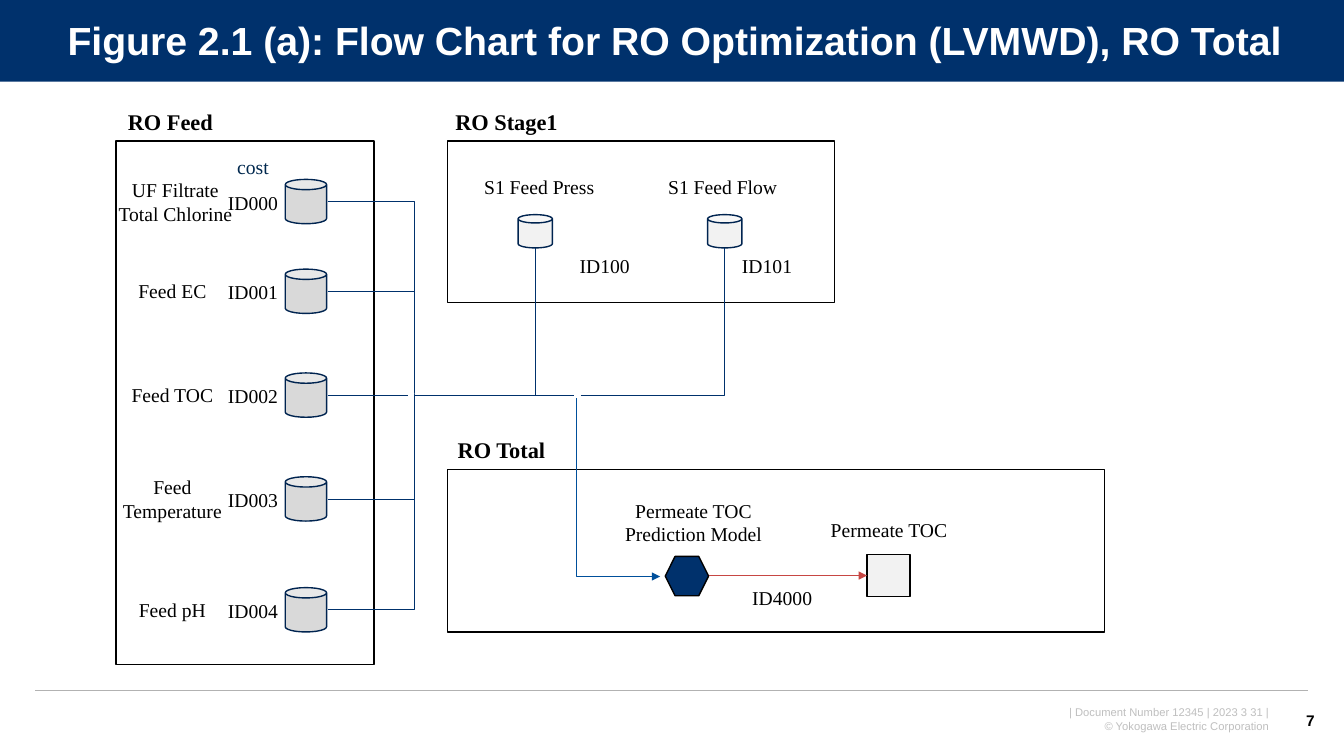
from dataclasses import dataclass
from typing import NamedTuple

import pptx
import pptx.dml.color
import pptx.enum.shapes
import pptx.enum.text
import pptx.oxml
import pptx.oxml.ns
import pptx.util

Kind = pptx.enum.shapes.MSO_SHAPE
Link = pptx.enum.shapes.MSO_CONNECTOR
Align = pptx.enum.text.PP_ALIGN
Anchor = pptx.enum.text.MSO_ANCHOR

# Grid: ten columns and ten rows to the inch
COLUMNS, ROWS = 133.33, 75
CELL = pptx.util.Inches(0.1)


@dataclass(frozen=True)
class Theme:
    sans: str = "Arial"
    serif: str = "Times New Roman"
    black: str = "000000"
    white: str = "FFFFFF"
    navy: str = "00316C"
    outline: str = "002450"
    cost: str = "00284E"
    blue: str = "004F9B"
    red: str = "C74643"
    tank: str = "D9D9D9"
    pale: str = "F2F2F2"
    rule: str = "B2B2B2"
    footer: str = "BFBFBF"
    title_size: float = 28
    heading_size: float = 16
    label_size: float = 14
    number_size: float = 11
    footer_size: float = 8
    thin: float = 0.5
    edge: float = 1


THEME = Theme()


class Box(NamedTuple):
    left: float
    top: float
    width: float
    height: float


class Point(NamedTuple):
    column: float
    row: float


class Style(NamedTuple):
    size: float = THEME.label_size
    color: str = THEME.black
    bold: bool = False
    font: str = THEME.serif
    align: Align = Align.CENTER


class Feed(NamedTuple):
    name: str
    tag: str
    row: float
    lines: int = 1
    name_column: float = 17.1


class Sensor(NamedTuple):
    name: str
    tag: str
    column: float
    name_column: float
    tag_column: float
    junction_column: float


class Group(NamedTuple):
    name: str
    frame: Box
    heading_column: float


HEADING = Style(THEME.heading_size, bold=True)
FOOTER = Style(THEME.footer_size, THEME.footer, font=THEME.sans, align=Align.RIGHT)
NUMBER = Style(THEME.number_size, bold=True, font=THEME.sans, align=Align.RIGHT)
TITLE = Style(THEME.title_size, THEME.white, True, THEME.sans, Align.LEFT)

MAIN_ROW = 39.2
TRUNK_COLUMN = 41.1
OUTLET_COLUMN = 57.2
TAG_WIDTH = 9

GROUPS = [
    Group("RO Feed", Box(11.5, 14, 25.6, 51.9), 16.9),
    Group("RO Stage1", Box(44.4, 14, 38.4, 16), 50.25),
    Group("RO Total", Box(44.4, 46.6, 65.2, 16.1), 49.75),
]
FEEDS = [
    Feed("UF Filtrate Total Chlorine", "ID000", 20, 2, 17.4),
    Feed("Feed EC", "ID001", 28.9),
    Feed("Feed TOC", "ID002", MAIN_ROW),
    Feed("Feed Temperature", "ID003", 49.5, 2),
    Feed("Feed pH", "ID004", 60.5),
]
SENSORS = [
    Sensor("S1 Feed Press", "ID100", 53.1, 53.5, 60, 56.9),
    Sensor("S1 Feed Flow", "ID101", 71.9, 71.7, 76.1, 57.6),
]


def place(shape, box: Box) -> None:
    shape.left, shape.top, shape.width, shape.height = (int(n * CELL) for n in box)


def rgb(color: str) -> pptx.dml.color.RGBColor:
    return pptx.dml.color.RGBColor.from_string(color)


def write(frame, lines: list[str], style: Style) -> None:
    frame.word_wrap = True
    for index, text in enumerate(lines):
        paragraph = frame.add_paragraph() if index else frame.paragraphs[0]
        paragraph.alignment = style.align
        run = paragraph.add_run()
        run.text = text
        run.font.name, run.font.size = style.font, pptx.util.Pt(style.size)
        run.font.bold, run.font.color.rgb = style.bold, rgb(style.color)


def add_text(slide, box: Box, lines: list[str], style: Style):
    shape = slide.shapes.add_textbox(0, 0, 0, 0)
    place(shape, box)
    write(shape.text_frame, lines, style)
    return shape


def add_label(slide, text: str, center: Point, width: float,
              style: Style = Style(), lines: int = 1) -> None:
    height = 1.1 + lines * style.size / 6.1
    box = Box(center.column - width / 2, center.row - height / 2, width, height)
    add_text(slide, box, [text], style)


def add_figure(slide, kind: Kind, box: Box, fill: str | None, line: str | None):
    shape = slide.shapes.add_shape(kind, 0, 0, 0, 0)
    place(shape, box)
    shape.shadow.inherit = False
    if fill:
        shape.fill.solid()
        shape.fill.fore_color.rgb = rgb(fill)
    else:
        shape.fill.background()
    if line:
        shape.line.color.rgb = rgb(line)
        shape.line.width = pptx.util.Pt(THEME.edge)
    else:
        shape.line.fill.background()
    return shape


def add_link(slide, start: Point, end: Point, color: str = THEME.navy,
             width: float = THEME.thin, arrow: str = "", bent: bool = False):
    """Bent links leave the start sideways and reach the end vertically."""
    kind = Link.ELBOW if bent else Link.STRAIGHT
    ends = (int(n * CELL) for n in (*start, *end))
    connector = slide.shapes.add_connector(kind, *ends)
    connector.line.color.rgb = rgb(color)
    connector.line.width = pptx.util.Pt(width)
    properties = connector.element.spPr
    if bent:
        properties.find(pptx.oxml.ns.qn("a:prstGeom")).set("prst", "bentConnector2")
    if arrow:
        line = properties.find(pptx.oxml.ns.qn("a:ln"))
        head = pptx.oxml.parse_xml(f'<a:{arrow} {pptx.oxml.ns.nsdecls("a")} type="triangle"/>')
        line.append(head)
    properties.append(pptx.oxml.parse_xml(f'<a:effectLst {pptx.oxml.ns.nsdecls("a")}/>'))
    return connector


def add_page_frame(slide) -> None:
    # Title band sits behind the title placeholder
    title = slide.shapes.title
    band = add_figure(slide, Kind.RECTANGLE, Box(0, 0, COLUMNS, 8.1), THEME.navy, None)
    title.element.addprevious(band.element)
    place(title, Box(5.7, 1.4, 124.7, 5.7))
    title.text_frame.auto_size = pptx.enum.text.MSO_AUTO_SIZE.NONE
    title.text_frame.vertical_anchor = Anchor.MIDDLE
    write(title.text_frame,
          ["Figure 2.1 (a): Flow Chart for RO Optimization (LVMWD), RO Total"], TITLE)
    title.text_frame.paragraphs[0].line_spacing = 0.9
    # Footer
    add_link(slide, Point(3.5, 68.5), Point(129.8, 68.5), THEME.rule, THEME.edge)
    add_text(slide, Box(94.8, 69.5, 32.1, 3.7),
             ["| Document Number 12345 | 2023 3 31 |", "© Yokogawa Electric Corporation"], FOOTER)
    number = add_text(slide, Box(127, 69.5, 4.4, 4), ["7"], NUMBER)
    number.text_frame.vertical_anchor = Anchor.MIDDLE


def add_flow(slide) -> None:
    # Group frames
    for group in GROUPS:
        add_figure(slide, Kind.RECTANGLE, group.frame, None, THEME.black)
        add_label(slide, group.name, Point(group.heading_column, group.frame.top - 1.95),
                  14, HEADING)
    # Feed tanks, joined by a vertical trunk
    add_label(slide, "cost", Point(25.1, 16.6), TAG_WIDTH, Style(color=THEME.cost))
    for feed in FEEDS:
        add_label(slide, feed.name, Point(feed.name_column, feed.row), 13.8,
                  lines=feed.lines)
        add_label(slide, feed.tag, Point(25.1, feed.row + 0.1), TAG_WIDTH)
        add_figure(slide, Kind.CAN, Box(28.3, feed.row - 2.2, 4.1, 4.4),
                   THEME.tank, THEME.outline)
        if feed.row != MAIN_ROW:
            add_link(slide, Point(32.5, feed.row), Point(TRUNK_COLUMN, MAIN_ROW), bent=True)
    # Stage sensors
    for sensor in SENSORS:
        add_label(slide, sensor.name, Point(sensor.name_column, 18.6), 13)
        add_label(slide, sensor.tag, Point(sensor.tag_column, 26.4), TAG_WIDTH)
        add_figure(slide, Kind.CAN, Box(sensor.column - 1.7, 21.3, 3.4, 3.3),
                   THEME.pale, THEME.outline)
        add_link(slide, Point(sensor.junction_column, MAIN_ROW),
                 Point(sensor.column, 24.6), bent=True)
    # Main line and its junctions
    for column in (40.4, 56.9):
        add_figure(slide, Kind.OVAL, Box(column, 38.7, 0.7, 0.7), THEME.white, None)
    add_link(slide, Point(32.5, MAIN_ROW), Point(40.5, MAIN_ROW))
    add_link(slide, Point(TRUNK_COLUMN, MAIN_ROW), Point(56.9, MAIN_ROW))
    # Prediction model and its result
    add_link(slide, Point(65.5, 57.2), Point(OUTLET_COLUMN, 39.5), THEME.blue,
             arrow="headEnd", bent=True)
    add_figure(slide, Kind.HEXAGON, Box(66, 55.2, 4.3, 3.9), THEME.navy, THEME.black)
    result = add_figure(slide, Kind.RECTANGLE, Box(86, 55, 4.3, 4.2), THEME.pale, THEME.black)
    arrow = add_link(slide, Point(70.3, 57.1), Point(86, 57.1), THEME.red, arrow="tailEnd")
    arrow.end_connect(result, 1)
    add_label(slide, "Permeate TOC Prediction Model", Point(68.8, 51.8), 17.9, lines=2)
    add_label(slide, "Permeate TOC", Point(88.2, 52.6), 17.1)
    add_label(slide, "ID4000", Point(77.6, 59.3), TAG_WIDTH)


def main() -> None:
    presentation = pptx.Presentation()
    presentation.slide_width, presentation.slide_height = int(COLUMNS * CELL), ROWS * CELL
    slide = presentation.slides.add_slide(presentation.slide_layouts.get_by_name("Title Only"))
    add_page_frame(slide)
    add_flow(slide)
    presentation.save("out.pptx")


if __name__ == "__main__":
    main()
